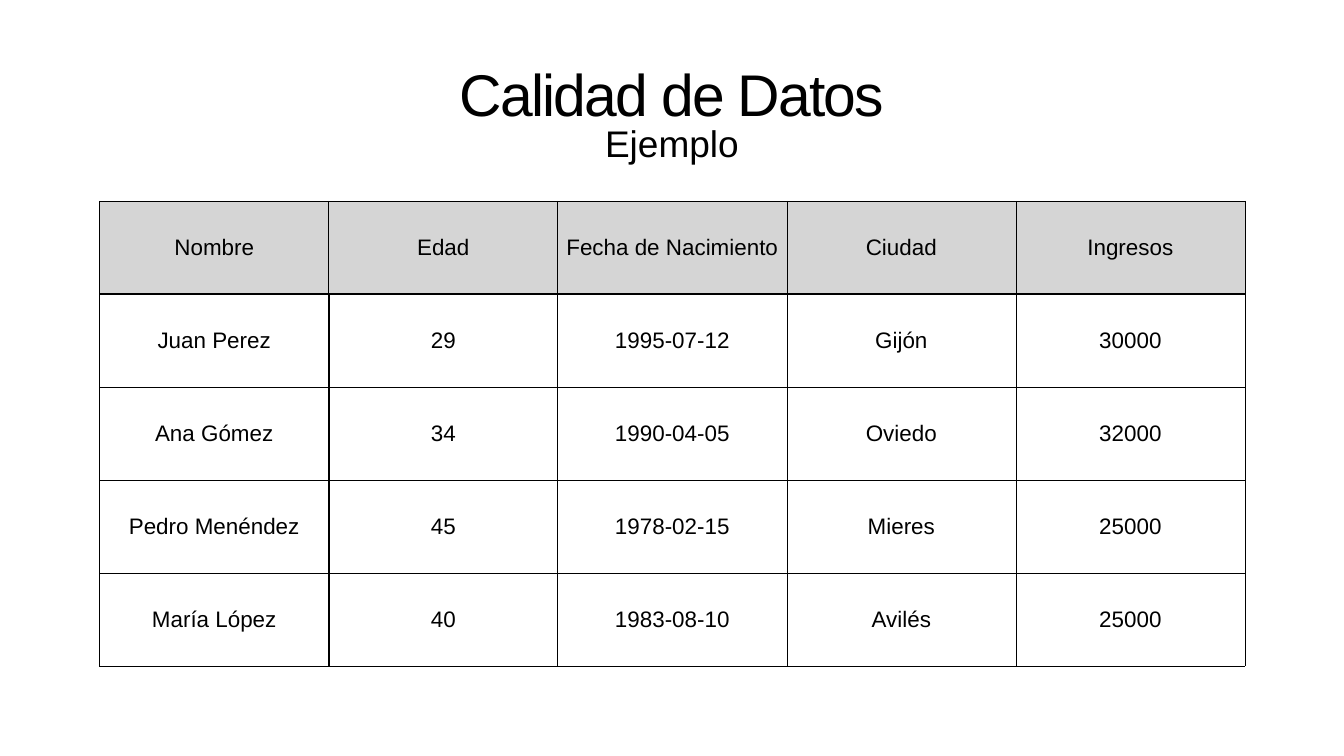
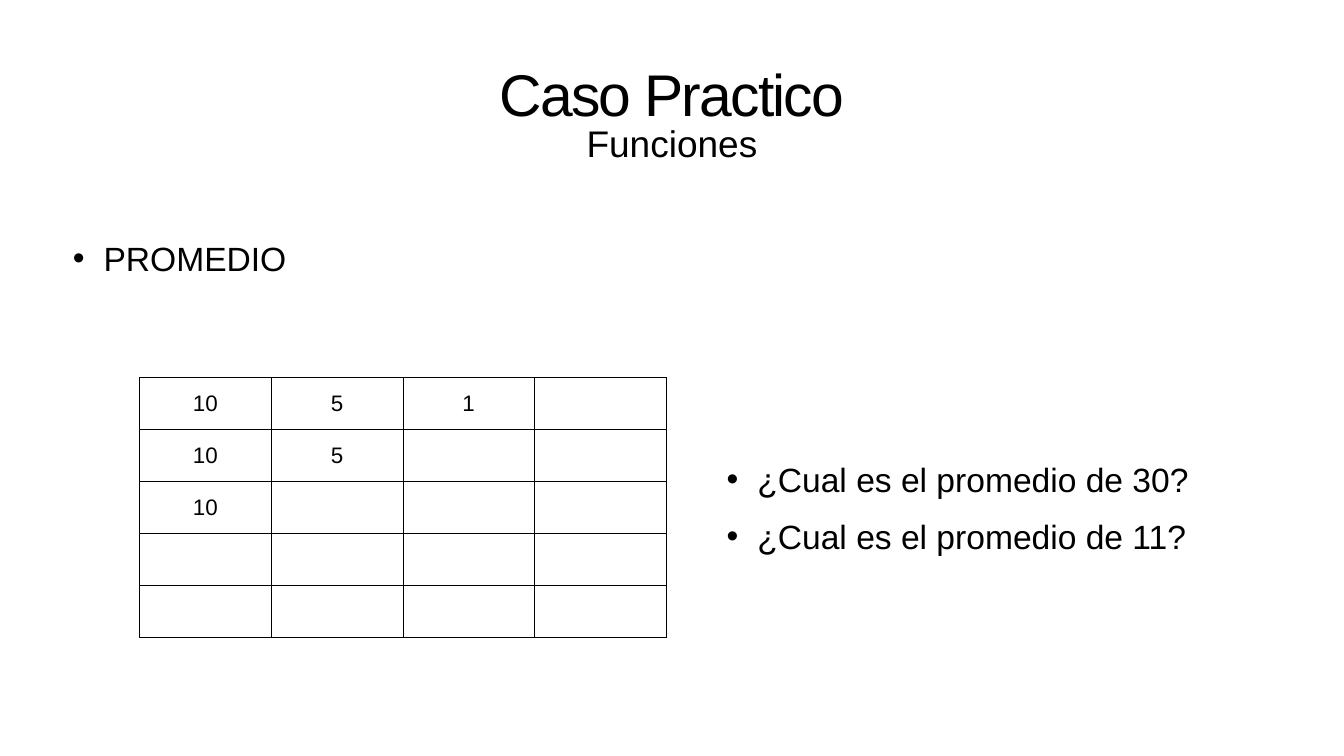
from dataclasses import dataclass

import pptx
import pptx.dml.color
import pptx.enum.text
import pptx.oxml
import pptx.oxml.ns
import pptx.presentation
import pptx.slide
import pptx.table
import pptx.text.text
import pptx.util

Pt = pptx.util.Pt
Align = pptx.enum.text.PP_ALIGN
Anchor = pptx.enum.text.MSO_ANCHOR

FONT = "Arial"
BLACK = "000000"
HEADER_GRAY = "D5D5D5"
INSET = 4
SPACE_BEFORE = 24
BULLET_INDENT = 44
THIN, THICK = 1, 3


@dataclass(frozen=True)
class Area:
    left: float
    top: float
    width: float
    height: float

    def lengths(self) -> tuple:
        return Pt(self.left), Pt(self.top), Pt(self.width), Pt(self.height)


@dataclass(frozen=True)
class TextStyle:
    size: float
    align: Align = Align.CENTER
    anchor: Anchor = Anchor.TOP
    line_spacing: float = 1.0
    tracking: float = 0
    bulleted: bool = False


@dataclass(frozen=True)
class Grid:
    area: Area
    rows: list[list[str]]
    has_headers: bool = False


TITLE_AREA = Area(100, 64, 1720, 122.5)
SUBTITLE_AREA = Area(100, 167.75, 1720, 80)
TITLE = TextStyle(84, anchor=Anchor.BOTTOM, line_spacing=0.8, tracking=-2.5)
SUBTITLE = TextStyle(52.9)
BULLETS = TextStyle(48, align=Align.LEFT, bulleted=True)
QUESTIONS = TextStyle(48, align=Align.LEFT, anchor=Anchor.MIDDLE, bulleted=True)
CELL = TextStyle(32, anchor=Anchor.MIDDLE)

PEOPLE = Grid(
    Area(142.5, 287.5, 1636, 664),
    [
        ["Nombre", "Edad", "Fecha de Nacimiento", "Ciudad", "Ingresos"],
        ["Juan Perez", "29", "1995-07-12", "Gijón", "30000"],
        ["Ana Gómez", "34", "1990-04-05", "Oviedo", "32000"],
        ["Pedro Menéndez", "45", "1978-02-15", "Mieres", "25000"],
        ["María López", "40", "1983-08-10", "Avilés", "25000"],
    ],
    has_headers=True,
)
NUMBERS = Grid(
    Area(199.5, 539, 752, 372),
    [
        ["10", "5", "1", ""],
        ["10", "5", "", ""],
        ["10", "", "", ""],
        [""] * 4,
        [""] * 4,
    ],
)


def color(value: str) -> pptx.dml.color.RGBColor:
    return pptx.dml.color.RGBColor.from_string(value)


def add_bullet(paragraph: pptx.text.text._Paragraph) -> None:
    properties = paragraph._p.get_or_add_pPr()
    properties.set("marL", str(Pt(BULLET_INDENT)))
    properties.set("indent", str(-Pt(BULLET_INDENT)))
    namespace = pptx.oxml.ns.nsdecls("a")
    for markup in (
        f'<a:buClr {namespace}><a:srgbClr val="{BLACK}"/></a:buClr>',
        f'<a:buFont {namespace} typeface="{FONT}"/>',
        f'<a:buChar {namespace} char="•"/>',
    ):
        properties.append(pptx.oxml.parse_xml(markup))


def format_paragraph(paragraph: pptx.text.text._Paragraph, style: TextStyle) -> None:
    paragraph.alignment = style.align
    paragraph.line_spacing = style.line_spacing
    for run in paragraph.runs:
        run.font.name = FONT
        run.font.size = Pt(style.size)
        run.font.color.rgb = color(BLACK)
        if style.tracking:
            run._r.get_or_add_rPr().set("spc", str(round(style.tracking * 100)))


def add_text(slide: pptx.slide.Slide, area: Area, lines: list[str], style: TextStyle) -> None:
    text_frame = slide.shapes.add_textbox(*area.lengths()).text_frame
    text_frame.word_wrap = True
    text_frame.vertical_anchor = style.anchor
    text_frame.margin_left = text_frame.margin_right = Pt(INSET)
    text_frame.margin_top = text_frame.margin_bottom = Pt(INSET)
    text_frame.text = "\n".join(lines)
    for index, paragraph in enumerate(text_frame.paragraphs):
        format_paragraph(paragraph, style)
        if index:
            paragraph.space_before = Pt(SPACE_BEFORE)
        if style.bulleted:
            add_bullet(paragraph)


def border_widths(row: int, column: int, has_headers: bool) -> dict[str, int]:
    widths = dict.fromkeys("LRTB", THIN)
    if has_headers and row == 0:
        widths["B"] = THICK
    elif has_headers:
        if column == 0:
            widths["R"] = THICK
        if column == 1:
            widths["L"] = THICK
        if row == 1 and column > 0:
            widths["T"] = THICK
    return widths


def set_borders(cell: pptx.table._Cell, widths: dict[str, int]) -> None:
    properties = cell._tc.get_or_add_tcPr()
    for side, width in widths.items():
        properties.append(pptx.oxml.parse_xml(
            f'<a:ln{side} {pptx.oxml.ns.nsdecls("a")} w="{Pt(width)}">'
            f'<a:solidFill><a:srgbClr val="{BLACK}"/></a:solidFill></a:ln{side}>'
        ))


def add_grid(slide: pptx.slide.Slide, grid: Grid) -> None:
    row_count, column_count = len(grid.rows), len(grid.rows[0])
    table = slide.shapes.add_table(row_count, column_count, *grid.area.lengths()).table
    table.first_row = grid.has_headers
    table.horz_banding = False
    for column in table.columns:
        column.width = Pt(grid.area.width / column_count)
    for row in table.rows:
        row.height = Pt(grid.area.height / row_count)
    for row_index, texts in enumerate(grid.rows):
        for column_index, text in enumerate(texts):
            cell = table.cell(row_index, column_index)
            cell.text_frame.text = text
            cell.vertical_anchor = CELL.anchor
            cell.margin_left = cell.margin_right = Pt(INSET)
            cell.margin_top = cell.margin_bottom = Pt(INSET)
            format_paragraph(cell.text_frame.paragraphs[0], CELL)
            for run in cell.text_frame.paragraphs[0].runs:
                run.font.bold = False
            set_borders(cell, border_widths(row_index, column_index, grid.has_headers))
            if grid.has_headers and row_index == 0:
                cell.fill.solid()
                cell.fill.fore_color.rgb = color(HEADER_GRAY)
            else:
                cell.fill.background()


def add_titled_slide(
    presentation: pptx.presentation.Presentation, title: str, subtitle: str
) -> pptx.slide.Slide:
    slide = presentation.slides.add_slide(presentation.slide_layouts[6])
    add_text(slide, TITLE_AREA, [title], TITLE)
    add_text(slide, SUBTITLE_AREA, [subtitle], SUBTITLE)
    return slide


def main() -> None:
    presentation = pptx.Presentation()
    presentation.slide_width = Pt(1920)
    presentation.slide_height = Pt(1080)

    quality_slide = add_titled_slide(presentation, "Calidad de Datos", "Ejemplo")
    add_grid(quality_slide, PEOPLE)

    practice_slide = add_titled_slide(presentation, "Caso Practico", "Funciones")
    add_text(practice_slide, Area(100, 336, 1720, 664), ["PROMEDIO"], BULLETS)
    add_grid(practice_slide, NUMBERS)
    add_text(
        practice_slide,
        Area(1034, 597.5, 680, 254),
        ["¿Cual es el promedio de 30?", "¿Cual es el promedio de 11?"],
        QUESTIONS,
    )

    presentation.save("out.pptx")


if __name__ == "__main__":
    main()
